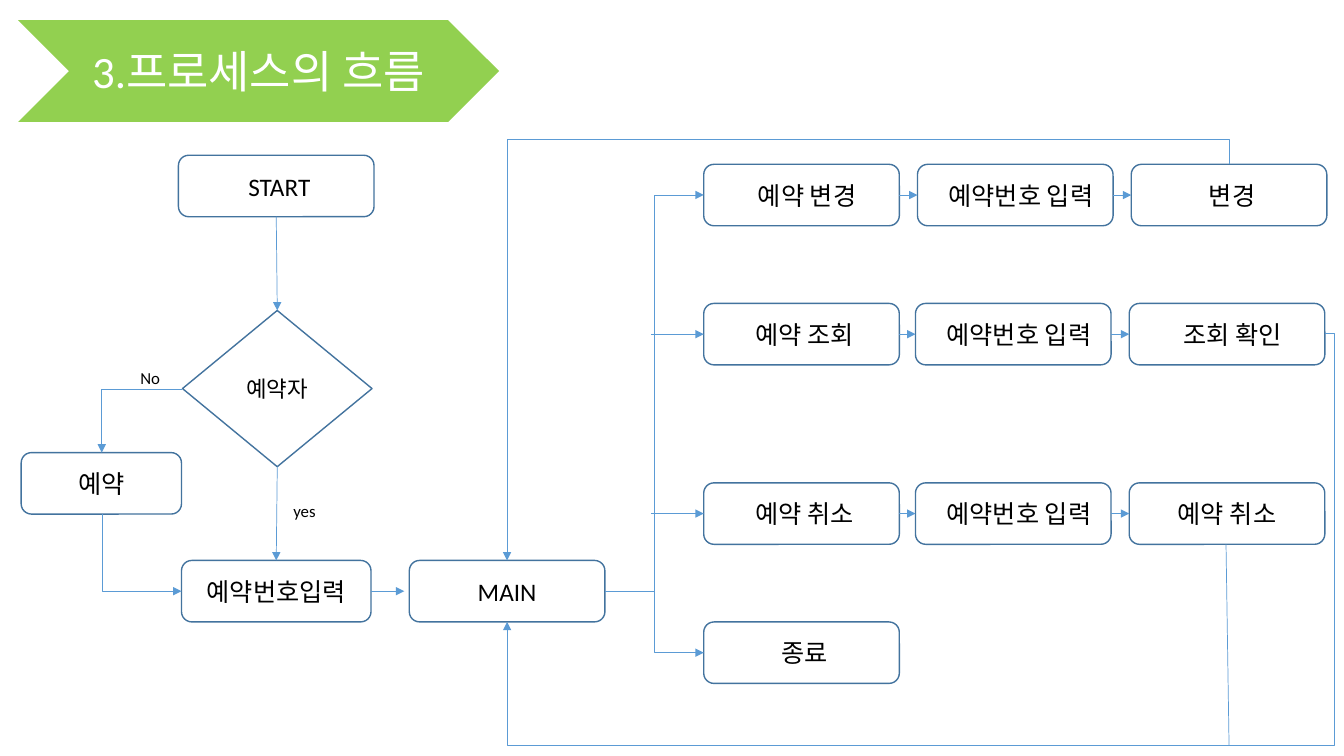
from dataclasses import dataclass
from pptx import Presentation
from pptx.dml.color import RGBColor
from pptx.enum.shapes import MSO_CONNECTOR, MSO_SHAPE
from pptx.enum.text import MSO_ANCHOR, MSO_AUTO_SIZE, PP_ALIGN
from pptx.oxml.ns import qn
from pptx.util import Inches, Pt
from lxml.etree import SubElement


@dataclass(frozen=True)
class Theme:
    font: str = "Calibri"
    banner: RGBColor = RGBColor(0x92, 0xD0, 0x50)
    paper: RGBColor = RGBColor(0xFF, 0xFF, 0xFF)
    ink: RGBColor = RGBColor(0, 0, 0)
    outline: RGBColor = RGBColor(0x43, 0x73, 0x9E)
    arrow: RGBColor = RGBColor(0x5B, 0x9B, 0xD5)
    title: int = 32
    step: int = 18
    decision: int = 16
    label: int = 12


@dataclass(frozen=True)
class Box:
    left: float
    top: float
    width: float
    height: float

    def lengths(self):
        return [Inches(v) for v in (self.left, self.top, self.width, self.height)]


THEME = Theme()
STEP_WIDTH, STEP_HEIGHT = 1.94, 0.61
TOP, LEFT, BOTTOM, RIGHT = range(4)  # connection sites


# Text and shapes
def write(shape, text, size, color):
    frame = shape.text_frame
    frame.auto_size = MSO_AUTO_SIZE.NONE
    frame.vertical_anchor = MSO_ANCHOR.MIDDLE
    para = frame.paragraphs[0]
    para.alignment = PP_ALIGN.CENTER
    para.line_spacing = 1.0
    span = para.add_run()
    span.text = text
    span.font.name = THEME.font
    span.font.size = Pt(size)
    span.font.color.rgb = color


def add_step(page, box, text, indent=0, kind=MSO_SHAPE.ROUNDED_RECTANGLE,
             size=THEME.step):
    step = page.shapes.add_shape(kind, *box.lengths())
    step.shadow.inherit = False
    step.fill.solid()
    step.fill.fore_color.rgb = THEME.paper
    step.line.color.rgb = THEME.outline
    step.line.width = Pt(1)
    step.text_frame.margin_left = Inches(0.1 + indent)
    write(step, text, size, THEME.ink)
    return step


def add_label(page, box, text):
    label = page.shapes.add_textbox(*box.lengths())
    label.text_frame.word_wrap = True
    write(label, text, THEME.label, THEME.ink)


# Lines and arrows
def style_line(line, arrow=True):
    line.line.color.rgb = THEME.arrow
    line.line.width = Pt(0.5)
    properties = line._element.spPr
    if arrow:
        SubElement(properties.find(qn("a:ln")), qn("a:tailEnd"), type="triangle")
    SubElement(properties, qn("a:effectLst"))


def straight(page, start, end, arrow=True):
    points = [Inches(v) for v in (*start, *end)]
    line = page.shapes.add_connector(MSO_CONNECTOR.STRAIGHT, *points)
    style_line(line, arrow)
    return line


def link(page, first, second, leave=RIGHT, enter=LEFT):
    line = straight(page, (0, 0), (1, 1))
    line.begin_connect(first, leave)
    line.end_connect(second, enter)


def elbow(page, start, end, bends=2, vertical=False, adjust=()):
    """Draw a bent arrow; vertical ones leave the start up or down."""
    across, down = end[0] - start[0], end[1] - start[1]
    line = page.shapes.add_connector(MSO_CONNECTOR.ELBOW, 0, 0, 1, 1)
    width, height = abs(across), abs(down)
    flips = {"flipH": across < 0, "flipV": down < 0}
    frame = line._element.spPr.find(qn("a:xfrm"))
    if vertical:
        width, height = height, width
        flips = {"flipH": down > 0, "flipV": across < 0}
        frame.set("rot", str(270 * 60000))
    for name, flipped in flips.items():
        frame.set(name, str(int(flipped)))
    line.left = Inches((start[0] + end[0] - width) / 2)
    line.top = Inches((start[1] + end[1] - height) / 2)
    line.width, line.height = Inches(width), Inches(height)
    geometry = line._element.spPr.find(qn("a:prstGeom"))
    geometry.set("prst", f"bentConnector{bends}")
    guides = geometry.find(qn("a:avLst"))
    for number, share in enumerate(adjust, 1):
        SubElement(guides, qn("a:gd"), name=f"adj{number}",
                   fmla=f"val {round(share * 100000)}")
    style_line(line)


# Title banner
def add_banner(page, box, text):
    chevron = page.shapes.add_shape(MSO_SHAPE.CHEVRON, *box.lengths())
    chevron.shadow.inherit = False
    chevron.fill.solid()
    chevron.fill.fore_color.rgb = THEME.banner
    chevron.line.fill.background()
    title = page.shapes.title
    title.left, title.top, title.width, title.height = box.lengths()
    title._element.addprevious(chevron._element)
    write(title, text, THEME.title, THEME.paper)


# Reservation check, from START to MAIN
def add_entry(page, box):
    x, y = box.left, box.top
    last_top = y + box.height - STEP_HEIGHT
    last_middle = last_top + STEP_HEIGHT / 2
    start = add_step(page, Box(x + 1.56, y, STEP_WIDTH, STEP_HEIGHT), "START", 0.06)
    guest = add_step(page, Box(x + 1.6, y + 1.54, 1.88, 1.55), "예약자",
                     kind=MSO_SHAPE.DIAMOND, size=THEME.decision)
    add_step(page, Box(x, y + 2.95, 1.59, STEP_HEIGHT), "예약")
    number = add_step(page, Box(x + 1.59, last_top, 1.88, STEP_HEIGHT), "예약번호입력")
    add_step(page, Box(x + box.width - STEP_WIDTH, last_top, STEP_WIDTH, STEP_HEIGHT),
             "MAIN")
    link(page, start, guest, BOTTOM, TOP)
    link(page, guest, number, BOTTOM, TOP)
    elbow(page, (x + 1.6, y + 2.32), (x + 0.8, y + 2.95))
    elbow(page, (x + 0.8, y + 3.56), (x + 1.59, last_middle), vertical=True)
    straight(page, (x + 3.47, last_middle), (x + 3.8, last_middle))
    add_label(page, Box(x + 0.98, y + 2.06, 0.6, 0.3), "No")
    add_label(page, Box(x + 2.51, y + 3.38, 0.6, 0.3), "yes")


# Menu rows and the branch that leads to them
def add_menu(page, box, main_right):
    number = ("예약번호 입력", 0.11)
    rows = [  # top, left of second step, steps with their indents
        (0, 2.12, [("예약 변경", 0.11), number, ("변경", 0.06)]),
        (1.38, 2.1, [("예약 조회", 0.06), number, ("조회 확인", 0.11)]),
        (3.16, 2.1, [("예약 취소", 0.06), number, ("예약 취소", 0)]),
        (box.height - STEP_HEIGHT, 0, [("종료", 0.06)]),
    ]
    for top, second, items in rows:
        lefts = (0, second, second + 2.12)
        steps = [
            add_step(page, Box(box.left + left, box.top + top, STEP_WIDTH, STEP_HEIGHT),
                     text, indent)
            for left, (text, indent) in zip(lefts, items)
        ]
        for first, following in zip(steps, steps[1:]):
            link(page, first, following)
        entry = (box.left, box.top + top + STEP_HEIGHT / 2)
        if top in (rows[0][0], rows[-1][0]):
            elbow(page, main_right, entry, bends=3)
        else:
            straight(page, (box.left - 0.52, entry[1]), entry)


# Routes from the finished rows back to MAIN
def add_returns(page, menu, main):
    center = main.left + main.width / 2
    main_bottom = main.top + main.height
    change = menu.left + 5.21
    floor = 7.39
    elbow(page, (change, menu.top), (center, main.top), bends=3, vertical=True,
          adjust=[-0.25 / (main.top - menu.top)])
    lookup = (menu.left + 6.16, menu.top + 1.68)
    elbow(page, lookup, (center, main_bottom), bends=4,
          adjust=[-0.1 / (lookup[0] - center),
                  (floor - lookup[1]) / (main_bottom - lookup[1])])
    straight(page, (change - 0.03, menu.top + 3.77), (change, floor), arrow=False)


def add_process_page(deck):
    page = deck.slides.add_slide(deck.slide_layouts[5])
    entry = Box(0.21, 1.54, 5.79, 4.63)
    menu = Box(6.98, 1.63, 6.18, 5.15)
    main = Box(4.06, 5.56, STEP_WIDTH, STEP_HEIGHT)
    add_banner(page, Box(0.18, 0.2, 4.77, 1.01), "3.프로세스의 흐름")
    add_entry(page, entry)
    add_menu(page, menu, (main.left + main.width, main.top + main.height / 2))
    add_returns(page, menu, main)


deck = Presentation()
deck.slide_width, deck.slide_height = Inches(13.33), Inches(7.5)
add_process_page(deck)
deck.save("out.pptx")
